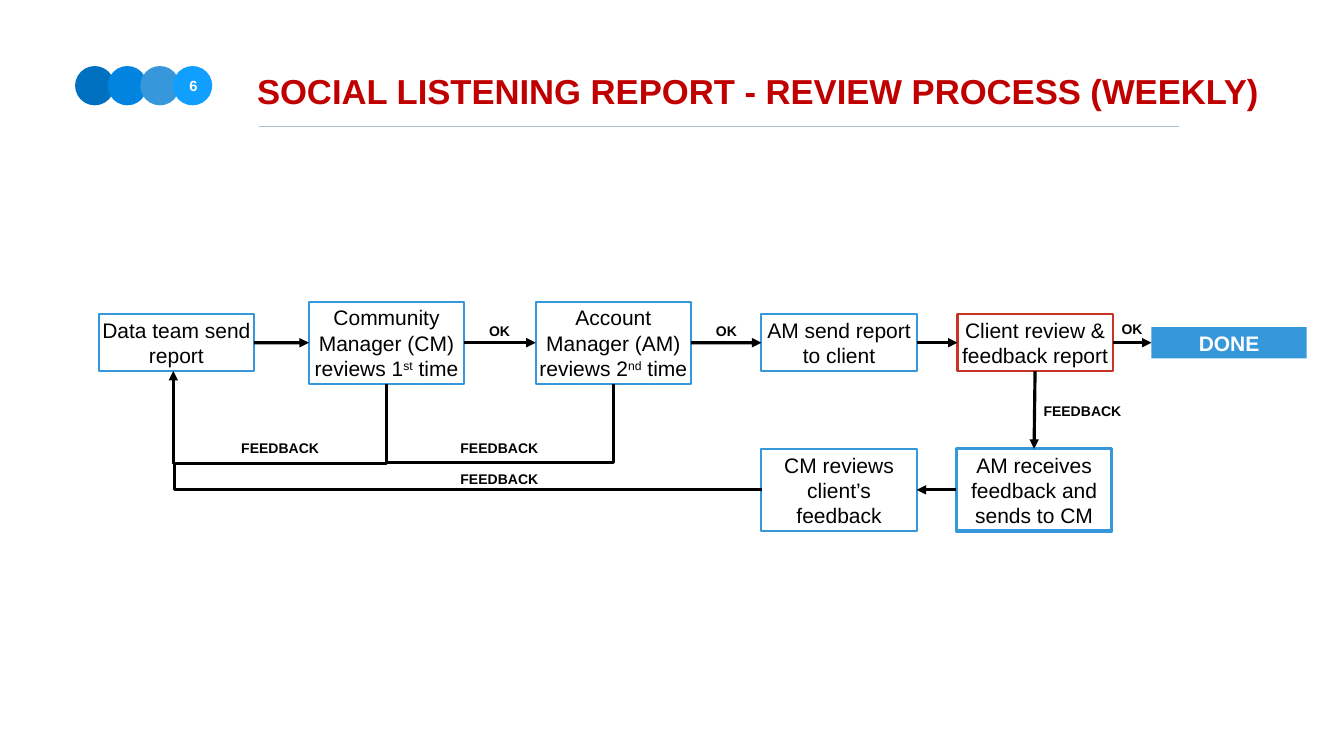
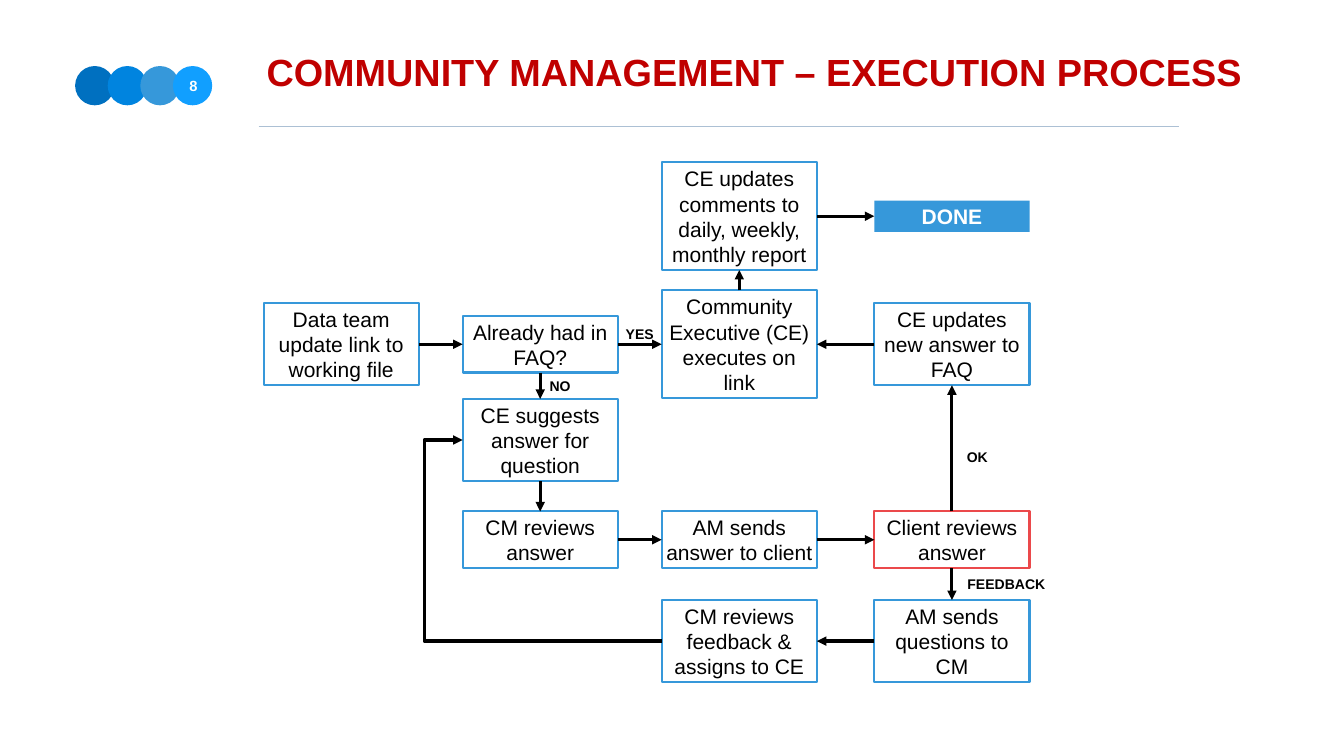
import pptx
import pptx.util
import pptx.dml.color
import pptx.enum.shapes
import pptx.enum.text
import pptx.oxml
import pptx.oxml.ns

Inches = pptx.util.Inches
Pt = pptx.util.Pt
SHAPE = pptx.enum.shapes.MSO_SHAPE
LINE = pptx.enum.shapes.MSO_CONNECTOR
ALIGN = pptx.enum.text.PP_ALIGN
ANCHOR = pptx.enum.text.MSO_ANCHOR
FIT = pptx.enum.text.MSO_AUTO_SIZE

FONT = "Arial"
COLORS = {
    "title": "C00000", "rule": "ACC0D4", "text": "000000", "white": "FFFFFF",
    "box": "3698DA", "client_report": "CA3427", "client_answer": "EB494B",
}
DOTS = ["0070C0", "0084DF", "3698DA", "119FFF"]
BOX_W = 3.08
TOP, LEFT, BOTTOM, RIGHT = range(4)
LABEL_W = {"OK": 0.53, "NO": 0.53, "YES": 0.67, "FEEDBACK": 1.68}


def rgb(hex_color):
    """Turn a hex string into a colour."""
    return pptx.dml.color.RGBColor.from_string(hex_color)


def set_frame(tf, anchor, wrap, fit, side=0.06):
    """Set the margins, anchor, wrapping and fitting of a text frame."""
    tf.margin_left = tf.margin_right = Inches(side)
    tf.margin_top = tf.margin_bottom = Inches(0.06)
    tf.vertical_anchor = anchor
    tf.word_wrap = wrap
    tf.auto_size = fit


def add_run(p, text, size, color, bold=False, raised=False):
    """Add one formatted run to a paragraph."""
    r = p.add_run()
    r.text = text
    r.font.name = FONT
    r.font.size = Pt(size)
    r.font.bold = bold
    r.font.color.rgb = rgb(color)
    if raised:
        r.font._element.set("baseline", "30000")


def add_text(s, left, top, width, height, text, size, color, anchor):
    """Add a short bold centred text on one line."""
    sp = s.shapes.add_textbox(Inches(left), Inches(top), Inches(width), Inches(height))
    set_frame(sp.text_frame, anchor, False, FIT.NONE, side=0)
    p = sp.text_frame.paragraphs[0]
    p.alignment = ALIGN.CENTER
    add_run(p, text, size, color, True)


def add_label(s, left, top, text):
    """Name the outcome that an arrow stands for."""
    add_text(s, left, top, LABEL_W[text], 0.45, text, 20, COLORS["text"], ANCHOR.MIDDLE)


def add_box(s, left, middle, lines, text, color=COLORS["box"], weight=3, done=False):
    """Add a step box centred on a row; text between carets is superscript."""
    height = 0.62 + 0.505 * (lines - 1)
    sp = s.shapes.add_shape(SHAPE.RECTANGLE, Inches(left), Inches(middle - height / 2),
                            Inches(BOX_W), Inches(height))
    sp.shadow.inherit = False
    if done:
        sp.fill.solid()
        sp.fill.fore_color.rgb = rgb(color)
        sp.line.fill.background()
    else:
        sp.fill.background()
        sp.line.color.rgb = rgb(color)
        sp.line.width = Pt(weight)
    set_frame(sp.text_frame, ANCHOR.MIDDLE, True, FIT.SHAPE_TO_FIT_TEXT)
    p = sp.text_frame.paragraphs[0]
    p.alignment = ALIGN.CENTER
    for i, part in enumerate(text.split("^")):
        add_run(p, part, 30, COLORS["white" if done else "text"], done, i % 2 == 1)
    return sp


def add_line(s, kind, begin, end, color, weight, arrow=False):
    """Add a connector without shadow, with an arrowhead at its end if asked."""
    cx = s.shapes.add_connector(kind, *[Inches(v) for v in (*begin, *end)])
    cx.line.color.rgb = rgb(color)
    cx.line.width = Pt(weight)
    if arrow:
        ln = cx.line._get_or_add_ln()
        ln.append(pptx.oxml.parse_xml(
            '<a:tailEnd %s type="triangle"/>' % pptx.oxml.ns.nsdecls("a")))
    cx._element.spPr.append(pptx.oxml.parse_xml(
        "<a:effectLst %s/>" % pptx.oxml.ns.nsdecls("a")))
    return cx


def add_arrow(s, a, a_side, b, b_side):
    """Join a side of one box to a side of another with an arrow."""
    cx = add_line(s, LINE.STRAIGHT, (0, 0), (1, 1), COLORS["text"], 4.5, True)
    cx.begin_connect(a, a_side)
    cx.end_connect(b, b_side)


def add_elbow(s, preset, begin, end, adjust=(), arrow=False, vertical=False):
    """Add a bent connector; a vertical one leaves its start up or down."""
    if vertical:
        mx, my = (begin[0] + end[0]) / 2, (begin[1] + end[1]) / 2
        begin, end = [(mx + y - my, my - x + mx) for x, y in (begin, end)]
    cx = add_line(s, LINE.ELBOW, begin, end, COLORS["text"], 4.5, arrow)
    spPr = cx._element.spPr
    if vertical:
        spPr.find(pptx.oxml.ns.qn("a:xfrm")).set("rot", "5400000")
    geom = spPr.find(pptx.oxml.ns.qn("a:prstGeom"))
    geom.set("prst", preset)
    guides = geom.find(pptx.oxml.ns.qn("a:avLst"))
    for i, value in enumerate(adjust, 1):
        guides.append(pptx.oxml.parse_xml('<a:gd %s name="adj%d" fmla="val %d"/>' % (
            pptx.oxml.ns.nsdecls("a"), i, round(value * 100000))))


def add_slide(prs, number, title, left, top, width, size):
    """Add a slide with the dots, number, rule and title."""
    s = prs.slides.add_slide(prs.slide_layouts[5])
    for i, color in enumerate(DOTS):
        sp = s.shapes.add_shape(SHAPE.OVAL, Inches(1.49 + 0.647 * i), Inches(1.31),
                                Inches(0.78), Inches(0.78))
        sp.shadow.inherit = False
        sp.fill.solid()
        sp.fill.fore_color.rgb = rgb(color)
        sp.line.fill.background()
    add_line(s, LINE.STRAIGHT, (5.13, 2.51), (23.4, 2.51), COLORS["rule"], 2)
    sp = s.shapes.title
    sp.left, sp.top, sp.width, sp.height = [Inches(v) for v in (left, top, width, 1.24)]
    set_frame(sp.text_frame, ANCHOR.TOP, True, FIT.NONE)
    p = sp.text_frame.paragraphs[0]
    p.alignment = ALIGN.LEFT
    add_run(p, title, size, COLORS["title"], True)
    add_text(s, 3.62, 1.47, 0.44, 0.47, number, 21, COLORS["white"], ANCHOR.TOP)
    return s


def add_review_slide(prs):
    """Build the weekly report review flow."""
    s = add_slide(prs, "6", "SOCIAL LISTENING REPORT - REVIEW PROCESS (WEEKLY)",
                  5.04, 1.32, 21.44, 49.5)
    row, low = 6.8, 9.72
    data = add_box(s, 1.96, row, 2, "Data team send report")
    first = add_box(s, 6.13, row, 3, "Community Manager (CM) reviews 1^st^ time")
    second = add_box(s, 10.63, row, 3, "Account Manager (AM) reviews 2^nd^ time")
    send = add_box(s, 15.11, row, 2, "AM send report to client")
    client = add_box(s, 19, row, 2, "Client review & feedback report",
                     COLORS["client_report"])
    done = add_box(s, 22.85, row, 1, "DONE", done=True)
    receive = add_box(s, 18.98, low, 3, "AM receives feedback and sends to CM", weight=4.5)
    review = add_box(s, 15.11, low, 3, "CM reviews client\u2019s feedback")
    steps = [data, first, second, send, client, done]
    for a, b in zip(steps, steps[1:]):
        add_arrow(s, a, RIGHT, b, LEFT)
    add_arrow(s, client, BOTTOM, receive, TOP)
    add_arrow(s, receive, LEFT, review, RIGHT)
    add_elbow(s, "bentConnector4", (7.67, 7.61), (3.44, 7.36), (-6.34, 1), True, True)
    add_elbow(s, "bentConnector2", (12.17, 7.61), (7.67, 9.18), vertical=True)
    add_elbow(s, "bentConnector3", (15.12, low), (3.46, 9.18), (1,))
    for left, top, text in [(9.65, 6.35, "OK"), (14.15, 6.35, "OK"), (22.2, 6.31, "OK"),
                            (20.64, 7.93, "FEEDBACK"), (4.72, 8.66, "FEEDBACK"),
                            (9.07, 8.66, "FEEDBACK"), (9.07, 9.28, "FEEDBACK")]:
        add_label(s, left, top, text)


def add_execution_slide(prs):
    """Build the community management flow."""
    s = add_slide(prs, "8", "COMMUNITY MANAGEMENT \u2013 EXECUTION PROCESS",
                  5.23, 0.9, 20.13, 54)
    c1, c2, c3, c4 = 5.23, 9.18, 13.13, 17.35
    row = 6.83
    data = add_box(s, c1, row, 3, "Data team update link to working file")
    faq = add_box(s, c2, row, 2, "Already had in FAQ?")
    execute = add_box(s, c3, row, 4, "Community Executive (CE) executes on link")
    report = add_box(s, c3, 4.29, 4, "CE updates comments to daily, weekly, monthly report")
    done = add_box(s, c4, 4.29, 1, "DONE", done=True)
    suggest = add_box(s, c2, 8.73, 3, "CE suggests answer for question")
    review = add_box(s, c2, 10.71, 2, "CM reviews answer")
    send = add_box(s, c3, 10.71, 2, "AM sends answer to client")
    update = add_box(s, c4, row, 3, "CE updates new answer to FAQ")
    client = add_box(s, c4, 10.71, 2, "Client reviews answer", COLORS["client_answer"])
    question = add_box(s, c4, 12.72, 3, "AM sends questions to CM")
    assign = add_box(s, c3, 12.72, 3, "CM reviews feedback & assigns to CE")
    for a, b in [(data, faq), (faq, execute), (report, done), (review, send),
                 (send, client)]:
        add_arrow(s, a, RIGHT, b, LEFT)
    for a, b in [(update, execute), (question, assign)]:
        add_arrow(s, a, LEFT, b, RIGHT)
    for a, b in [(faq, suggest), (suggest, review), (client, question)]:
        add_arrow(s, a, BOTTOM, b, TOP)
    for a, b in [(execute, report), (client, update)]:
        add_arrow(s, a, TOP, b, BOTTOM)
    add_elbow(s, "bentConnector3", (c3, 12.72), (c2, 8.73), (1.193,), True)
    for left, top, text in [(12.36, 6.4, "YES"), (10.85, 7.43, "NO"),
                            (19.13, 11.36, "FEEDBACK"), (19.13, 8.85, "OK")]:
        add_label(s, left, top, text)


def main():
    """Build both slides and save them."""
    prs = pptx.Presentation()
    prs.slide_width, prs.slide_height = Inches(26.67), Inches(15)
    add_review_slide(prs)
    add_execution_slide(prs)
    prs.save("out.pptx")


main()
